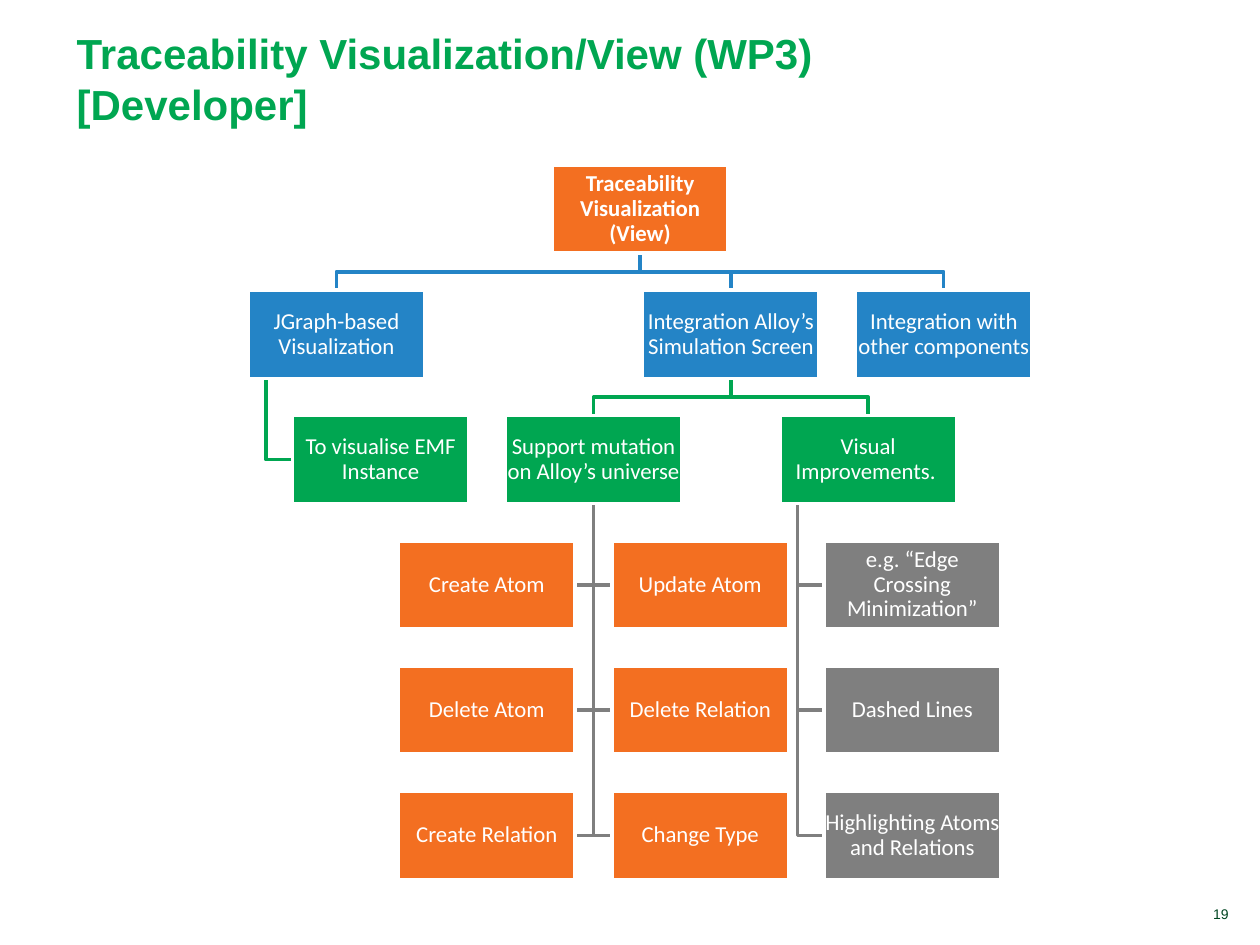
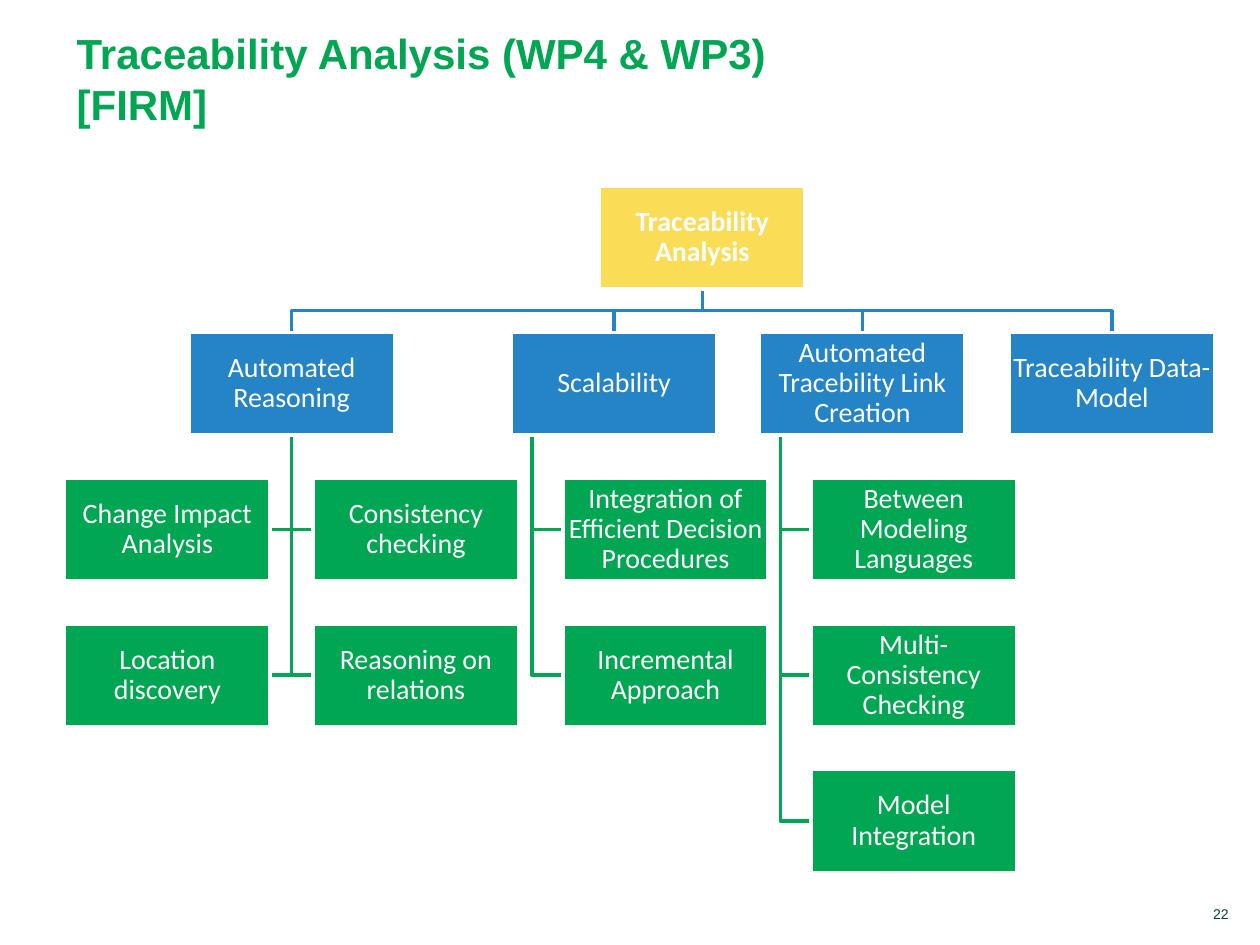
from pptx import Presentation
from pptx import util as u
from pptx.dml.color import RGBColor
from pptx.enum import shapes, text

HUES = {"green": "00A651", "blue": "2484C6", "orange": "F36F21", "gray": "7F7F7F",
        "yellow": "FBDC57", "white": "FFFFFF", "dark": "004621"}
LINKS = ["blue", "green", "gray"]
WIDE, HIGH = 10, 7.5
RISE, STEP, PITCH = 0.5, 0.71, 1.21
STEM, INSET = 0.1, 0.25

# A node is (label, left, layout of kids, fill of kids, kids); hung kids are labels.
VIEW = ("Traceability Visualization (View)", 4.38, "row", "blue", [
    ("JGraph-based Visualization", 1.97, "right", "green", ["To visualise EMF Instance"]),
    ("Integration Alloy’s Simulation Screen", 5.1, "row", "green", [
        ("Support mutation on Alloy’s universe", 4.01, "pair", "orange",
         ["Create Atom", "Update Atom", "Delete Atom", "Delete Relation",
          "Create Relation", "Change Type"]),
        ("Visual Improvements. ", 6.19, "right", "gray",
         ["e.g. “Edge Crossing Minimization”", "Dashed Lines",
          "Highlighting Atoms and Relations"])]),
    ("Integration with other components", 6.79, "row", "blue", [])])

CHECK = ("Traceability Analysis", 4.76, "row", "blue", [
    ("Automated Reasoning", 1.5, "pair", "green",
     ["Change Impact Analysis", "Consistency checking",
      "Location discovery", "Reasoning on relations"]),
    ("Scalability", 4.06, "right", "green",
     ["Integration of Efficient Decision Procedures", "Incremental Approach"]),
    ("Automated Tracebility Link Creation", 6.03, "right", "green",
     ["Between Modeling Languages", "Multi-Consistency Checking", "Model Integration"]),
    ("Traceability Data-Model", 8.01, "row", "blue", [])])

PAGES = [
    dict(title="Traceability Visualization/View (WP3) [Developer]", num="19",
         tree=VIEW, fill="orange", top=1.31, wide=1.4, size=13),
    dict(title="Traceability Analysis (WP4 & WP3)\v[FIRM]", num="22",
         tree=CHECK, fill="yellow", top=1.48, wide=1.63, size=16),
]


def hue(name):
    return RGBColor.from_string(HUES[name])


def style(shape, words, face, size, color, bold=False, align="LEFT", anchor="BOTTOM"):
    frame = shape.text_frame
    frame.text = words
    frame.word_wrap = True
    frame.vertical_anchor = text.MSO_ANCHOR[anchor]
    para = frame.paragraphs[0]
    para.alignment = text.PP_ALIGN[align]
    for run in para.runs:
        font = run.font
        font.name, font.size, font.bold = face, u.Pt(size), bold
        font.color.rgb = hue(color)
    return frame


def label(slide, box, *look, **more):
    style(slide.shapes.add_textbox(*map(u.Inches, box)), *look, **more)


def plan(node, top, wide, fill, level=0):
    """Return the boxes and the links of a tree."""
    words, left, kind, tint, kids = node
    boxes, links = [(words, left, top, fill, level == 0)], []
    mid, base = left + wide / 2, top + wide * RISE
    for i, kid in enumerate(kids):
        if kind == "row":
            low = top + wide * STEP
            bend, goal = (base + low) / 2, kid[1] + wide / 2
            route = [(mid, base), (mid, bend), (goal, bend), (goal, low)]
            more = plan(kid, low, wide, tint, level + 1)
            boxes += more[0]
            links += more[1]
        else:
            cols = 2 if kind == "pair" else 1
            row, col = divmod(i, cols)
            low = top + wide * STEP * (row + 1)
            if kind == "pair":
                stem, spot = mid, left + wide * PITCH * (col - 0.5)
            else:
                stem, spot = left + wide * STEM, left + wide * INSET
            edge = spot + wide if spot < left else spot
            half = low + wide * RISE / 2
            route = [(stem, base), (stem, half), (edge, half)]
            boxes.append((kid, spot, low, tint, False))
        links.append((route, LINKS[level]))
    return boxes, links


def link(slide, route, color):
    dots = [(u.Inches(x), u.Inches(y)) for x, y in route]
    form = slide.shapes.build_freeform(*dots[0])
    form.add_line_segments(dots[1:], close=False)
    line = form.convert_to_shape()
    line.shadow.inherit = False
    line.fill.background()
    line.line.color.rgb = hue(color)
    line.line.width = u.Pt(2)


def card(slide, words, left, top, fill, bold, wide, size):
    spot = map(u.Inches, (left, top, wide, wide * RISE))
    box = slide.shapes.add_shape(shapes.MSO_SHAPE.RECTANGLE, *spot)
    box.shadow.inherit = False
    box.fill.solid()
    box.fill.fore_color.rgb = hue(fill)
    box.line.color.rgb = hue("white")
    box.line.width = u.Pt(2)
    frame = style(box, words, "Calibri", size, "white", bold, "CENTER", "MIDDLE")
    frame.margin_left = frame.margin_right = u.Inches(0.01)
    frame.margin_top = frame.margin_bottom = u.Inches(0.01)
    frame.paragraphs[0].line_spacing = 0.9


def main():
    deck = Presentation()
    deck.slide_width, deck.slide_height = u.Inches(WIDE), u.Inches(HIGH)
    for page in PAGES:
        slide = deck.slides.add_slide(deck.slide_layouts[6])
        label(slide, (8.54, 7.14, 1.31, 0.23), page["num"], "Arial", 8, "dark", align="RIGHT")
        label(slide, (0.51, 0.16, 7.09, 0.91), page["title"], "Arial", 24, "green", bold=True)
        boxes, links = plan(page["tree"], page["top"], page["wide"], page["fill"])
        for item in links:
            link(slide, *item)
        for item in boxes:
            card(slide, *item, page["wide"], page["size"])
    deck.save("out.pptx")


if __name__ == "__main__":
    main()
